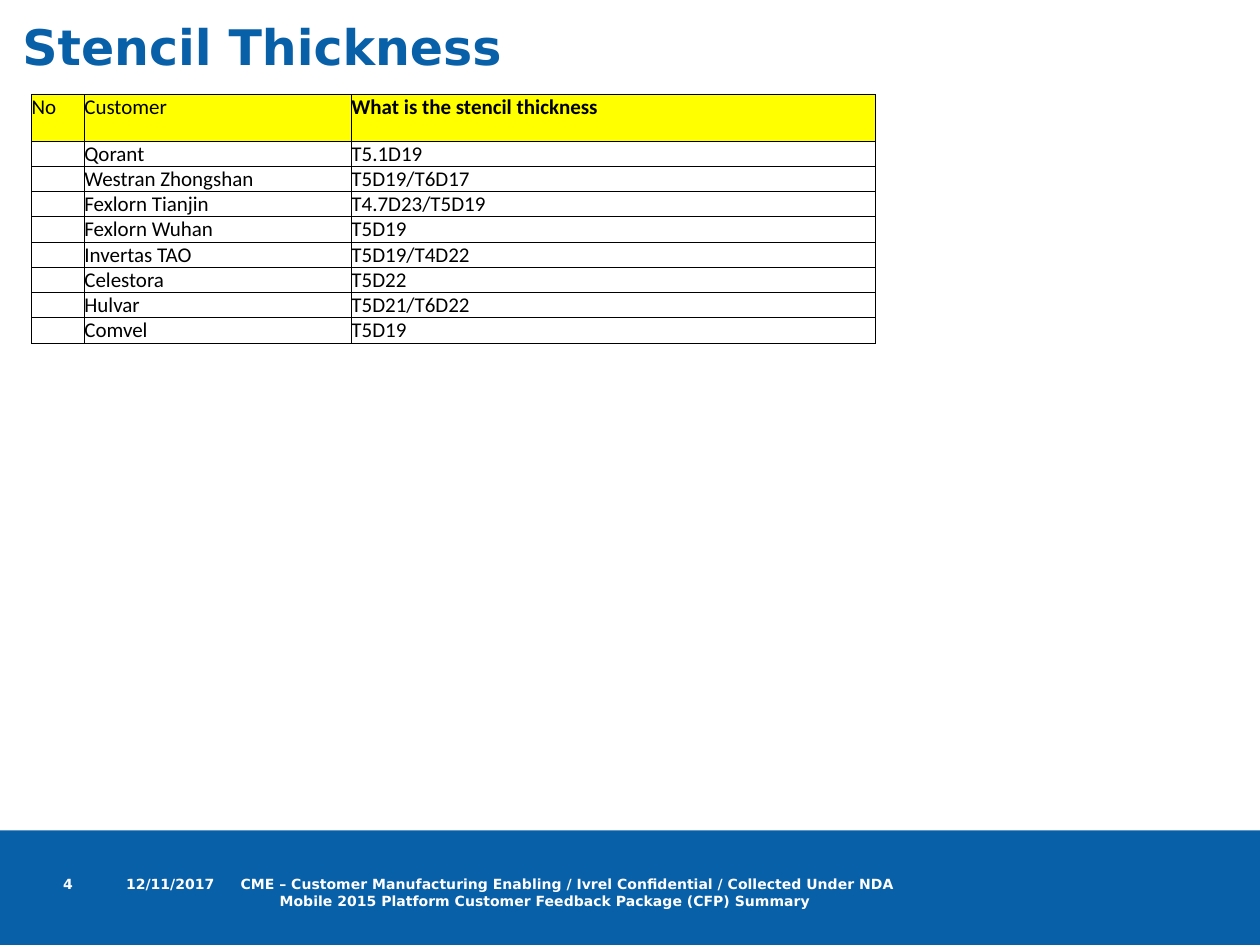
from lxml.etree import SubElement
from pptx import Presentation
from pptx.dml.color import RGBColor
from pptx.enum.shapes import MSO_SHAPE as Shape
from pptx.oxml.ns import qn
from pptx.util import Inches, Pt

BLUE = RGBColor(0x08, 0x60, 0xA8)
WHITE = RGBColor(0xFF, 0xFF, 0xFF)
BLACK = RGBColor(0, 0, 0)
YELLOW = RGBColor(0xFF, 0xFF, 0)

TITLE_FONT = dict(name="DejaVu Sans", size=Pt(28), bold=True)
FOOTER_FONT = dict(name="DejaVu Sans", size=Pt(8), bold=True)
CELL_FONT = dict(name="Calibri", size=Pt(12))
NO_MARGINS = dict(margin_left=0, margin_top=0, margin_right=0, margin_bottom=0)

COLUMN_WIDTHS = [0.42, 2.12, 4.16]
HEADER_HEIGHT, ROW_HEIGHT = 0.37, 0.2
ROWS = [
    ("No", "Customer", "What is the stencil thickness"),
    ("", "Qorant", "T5.1D19"),
    ("", "Westran Zhongshan", "T5D19/T6D17"),
    ("", "Fexlorn Tianjin", "T4.7D23/T5D19"),
    ("", "Fexlorn Wuhan", "T5D19"),
    ("", "Invertas TAO", "T5D19/T4D22"),
    ("", "Celestora", "T5D22"),
    ("", "Hulvar", "T5D21/T6D22"),
    ("", "Comvel", "T5D19"),
]
FOOTER_LINES = [
    "CME – Customer Manufacturing Enabling / Ivrel Confidential / Collected Under NDA",
    "Mobile 2015 Platform Customer Feedback Package (CFP) Summary",
]


def set_attributes(obj, values):
    for name, value in values.items():
        setattr(obj, name, value)


def add_run(p, text, font, color):
    r = p.add_run()
    r.text = text
    set_attributes(r.font, font)
    r.font.color.rgb = color


def add_text(s, box, lines, font, color, wrap=True, margins=None):
    tf = s.shapes.add_textbox(*map(Inches, box)).text_frame
    tf.word_wrap = wrap
    set_attributes(tf, margins or {})
    for i, line in enumerate(lines):
        p = tf.add_paragraph() if i else tf.paragraphs[0]
        add_run(p, line, font, color)
    return tf


def add_footer(s):
    band = s.shapes.add_shape(Shape.RECTANGLE, 0, Inches(6.59), Inches(10), Inches(0.91))
    band.shadow.inherit = False
    band.fill.solid()
    band.fill.fore_color.rgb = BLUE
    band.line.fill.background()
    for box, lines in [
        ((1, 6.95, 0.82, 0.33), ["12/11/2017"]),
        ((0.5, 6.95, 0.45, 0.33), ["4"]),
        ((1.91, 6.95, 6.3, 0.55), FOOTER_LINES),
    ]:
        tf = add_text(s, box, lines, FOOTER_FONT, WHITE, margins=NO_MARGINS)
    # The last box is the summary; its second line is set in.
    tf.paragraphs[1]._p.get_or_add_pPr().set("marL", str(Inches(0.31)))


def set_borders(cell, width):
    """Draw the four cell borders, ahead of the fill as the schema requires."""
    tc_pr = cell._tc.get_or_add_tcPr()
    for side in ("lnL", "lnR", "lnT", "lnB"):
        ln = SubElement(tc_pr, qn(f"a:{side}"), w=str(width))
        fill = SubElement(ln, qn("a:solidFill"))
        SubElement(fill, qn("a:srgbClr"), val=str(BLACK))


def fill_cell(cell, text, is_header, bold):
    set_attributes(cell, NO_MARGINS)
    set_borders(cell, Pt(0.5))
    if is_header:
        cell.fill.solid()
        cell.fill.fore_color.rgb = YELLOW
    else:
        cell.fill.background()
    p = cell.text_frame.paragraphs[0]
    if text:
        add_run(p, text, CELL_FONT | dict(bold=bold), BLACK)
    else:
        # Keeps an empty cell from growing to the default text height.
        SubElement(p._p, qn("a:endParaRPr"), sz="1200")


def add_thickness_table(s):
    heights = [HEADER_HEIGHT] + [ROW_HEIGHT] * (len(ROWS) - 1)
    table = s.shapes.add_table(
        len(ROWS), len(COLUMN_WIDTHS), Inches(0.25), Inches(0.75),
        Inches(sum(COLUMN_WIDTHS)), Inches(sum(heights)),
    ).table
    table.first_row = table.horz_banding = False
    for column, width in zip(table.columns, COLUMN_WIDTHS):
        column.width = Inches(width)
    for i, (row, height) in enumerate(zip(table.rows, heights)):
        row.height = Inches(height)
        for j, text in enumerate(ROWS[i]):
            fill_cell(row.cells[j], text, is_header=i == 0, bold=(i, j) == (0, 2))


def main():
    prs = Presentation()
    prs.slide_width, prs.slide_height = Inches(10), Inches(7.5)
    s = prs.slides.add_slide(prs.slide_layouts[6])
    add_footer(s)
    add_thickness_table(s)
    add_text(s, (0.08, 0.08, 4.16, 0.57), ["Stencil Thickness"], TITLE_FONT, BLUE, wrap=False)
    prs.save("out.pptx")


if __name__ == "__main__":
    main()
